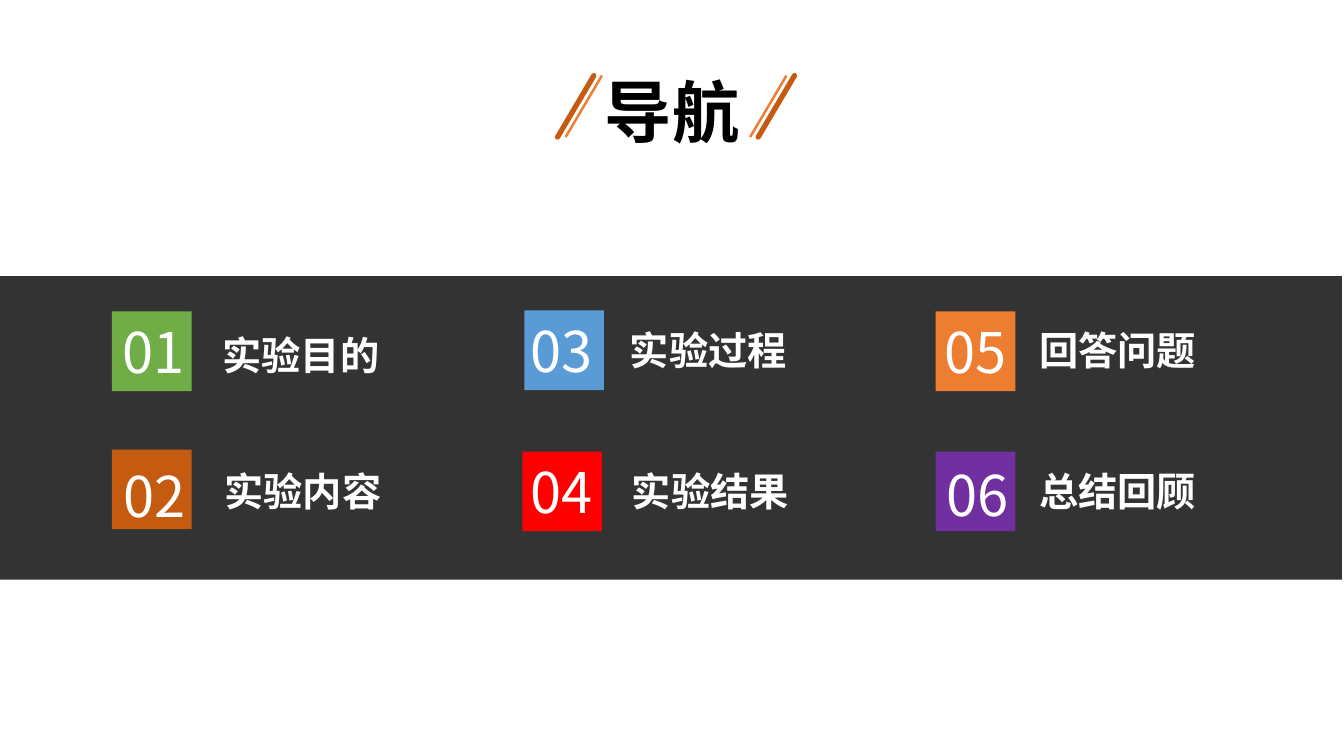
from dataclasses import dataclass

from pptx import Presentation
from pptx.dml.color import RGBColor
from pptx.enum.shapes import MSO_CONNECTOR as Connector, MSO_SHAPE as Preset
from pptx.enum.text import MSO_ANCHOR as Anchor, MSO_AUTO_SIZE as AutoSize, PP_ALIGN as Align
from pptx.oxml.ns import qn
from pptx.oxml.xmlchemy import OxmlElement
from pptx.shapes.autoshape import Shape
from pptx.util import Emu, Pt

EMU_PER_PX = 9144  # 100 px to the inch
FONT = "Noto Sans CJK SC"
COLOURS = {
    "black": "000000",
    "white": "FFFFFF",
    "green": "70AD47",
    "rust": "C55A11",
    "blue": "5B9BD5",
    "red": "FF0000",
    "orange": "ED7D31",
    "purple": "7030A0",
}
TILE_SIDE = 79
NUMBER_HEIGHT = 77
LABEL_SIZE = (210, 57)
SLASH_TOP, SLASH_BOTTOM, SLASH_RUN = 75, 136, 36


@dataclass(frozen=True)
class Box:
    left: int
    top: int
    width: int
    height: int

    def emu(self) -> tuple[Emu, ...]:
        return tuple(px(side) for side in (self.left, self.top, self.width, self.height))


@dataclass(frozen=True)
class TextStyle:
    size: int
    colour: str
    bold: bool = False
    align: Align = Align.LEFT
    anchor: Anchor = Anchor.MIDDLE
    wrap: bool = True


@dataclass(frozen=True)
class Slash:
    foot: int
    colour: str
    weight: float
    cap: str


@dataclass(frozen=True)
class Entry:
    """A numbered tile with its label; each position is (left, top)."""
    label: str
    colour: str
    tile: tuple[int, int]
    number: tuple[int, int]
    number_width: int
    label_at: tuple[int, int]


TITLE_STYLE = TextStyle(48, "black", True, Align.CENTER, Anchor.TOP, False)
LABEL_STYLE = TextStyle(28, "white", True)
NUMBER_STYLE = TextStyle(40, "white", align=Align.CENTER)

SLASHES = [
    Slash(561, "orange", 1.75, "flat"),
    Slash(744, "orange", 1.75, "flat"),
    Slash(752, "rust", 3.75, "rnd"),
    Slash(553, "rust", 3.75, "rnd"),
]
ENTRIES = [
    Entry("实验目的", "green", (111, 309), (105, 310), 95, (211, 324)),
    Entry("实验内容", "rust", (111, 446), (109, 453), 88, (213, 458)),
    Entry("实验过程", "blue", (520, 308), (513, 309), 87, (615, 319)),
    Entry("实验结果", "red", (518, 448), (508, 449), 98, (617, 458)),
    Entry("回答问题", "orange", (928, 309), (923, 310), 90, (1021, 319)),
    Entry("总结回顾", "purple", (928, 448), (921, 452), 97, (1021, 458)),
]


def px(length: int) -> Emu:
    return Emu(length * EMU_PER_PX)


def colour(name: str) -> RGBColor:
    return RGBColor.from_string(COLOURS[name])


def add_rectangle(shapes, box: Box, fill: str) -> Shape:
    rectangle = shapes.add_shape(Preset.RECTANGLE, *box.emu())
    rectangle.shadow.inherit = False
    rectangle.fill.solid()
    rectangle.fill.fore_color.rgb = colour(fill)
    rectangle.line.fill.background()
    return rectangle


def set_opacity(shape: Shape, percent: int) -> None:
    alpha = OxmlElement("a:alpha")
    alpha.set("val", str(percent * 1000))
    shape._element.spPr.find(qn("a:solidFill")).find(qn("a:srgbClr")).append(alpha)


def add_text(shapes, box: Box, text: str, style: TextStyle) -> None:
    frame = shapes.add_textbox(*box.emu()).text_frame
    frame.word_wrap = style.wrap
    frame.auto_size = AutoSize.SHAPE_TO_FIT_TEXT
    frame.vertical_anchor = style.anchor
    para = frame.paragraphs[0]
    para.alignment = style.align
    span = para.add_run()
    span.text = text
    span.font.name = FONT
    span.font.size = Pt(style.size)
    span.font.bold = style.bold
    span.font.color.rgb = colour(style.colour)
    east_asian = OxmlElement("a:ea")
    east_asian.set("typeface", FONT)
    span.font._element.find(qn("a:latin")).addnext(east_asian)


def add_slash(shapes, slash: Slash) -> None:
    line = shapes.add_connector(
        Connector.STRAIGHT,
        px(slash.foot + SLASH_RUN), px(SLASH_TOP), px(slash.foot), px(SLASH_BOTTOM),
    )
    line.line.color.rgb = colour(slash.colour)
    line.line.width = Pt(slash.weight)
    properties = line._element.spPr
    properties.find(qn("a:ln")).set("cap", slash.cap)
    properties.append(OxmlElement("a:effectLst"))


def add_entry(shapes, order: int, entry: Entry) -> None:
    group = shapes.add_group_shape().shapes
    add_text(group, Box(*entry.label_at, *LABEL_SIZE), entry.label, LABEL_STYLE)
    add_rectangle(group, Box(*entry.tile, TILE_SIDE, TILE_SIDE), entry.colour)
    number_box = Box(*entry.number, entry.number_width, NUMBER_HEIGHT)
    add_text(group, number_box, f"{order:02d}", NUMBER_STYLE)


def main() -> None:
    deck = Presentation()
    deck.slide_width, deck.slide_height = px(1333), px(750)
    page = deck.slides.add_slide(deck.slide_layouts[6])
    band = add_rectangle(page.shapes, Box(-7, 274, 1338, 301), "black")
    set_opacity(band, 80)
    add_text(page.shapes, Box(589, 65, 155, 91), "导航", TITLE_STYLE)
    for slash in SLASHES:
        add_slash(page.shapes, slash)
    for order, entry in enumerate(ENTRIES, start=1):
        add_entry(page.shapes, order, entry)
    deck.save("out.pptx")


if __name__ == "__main__":
    main()
